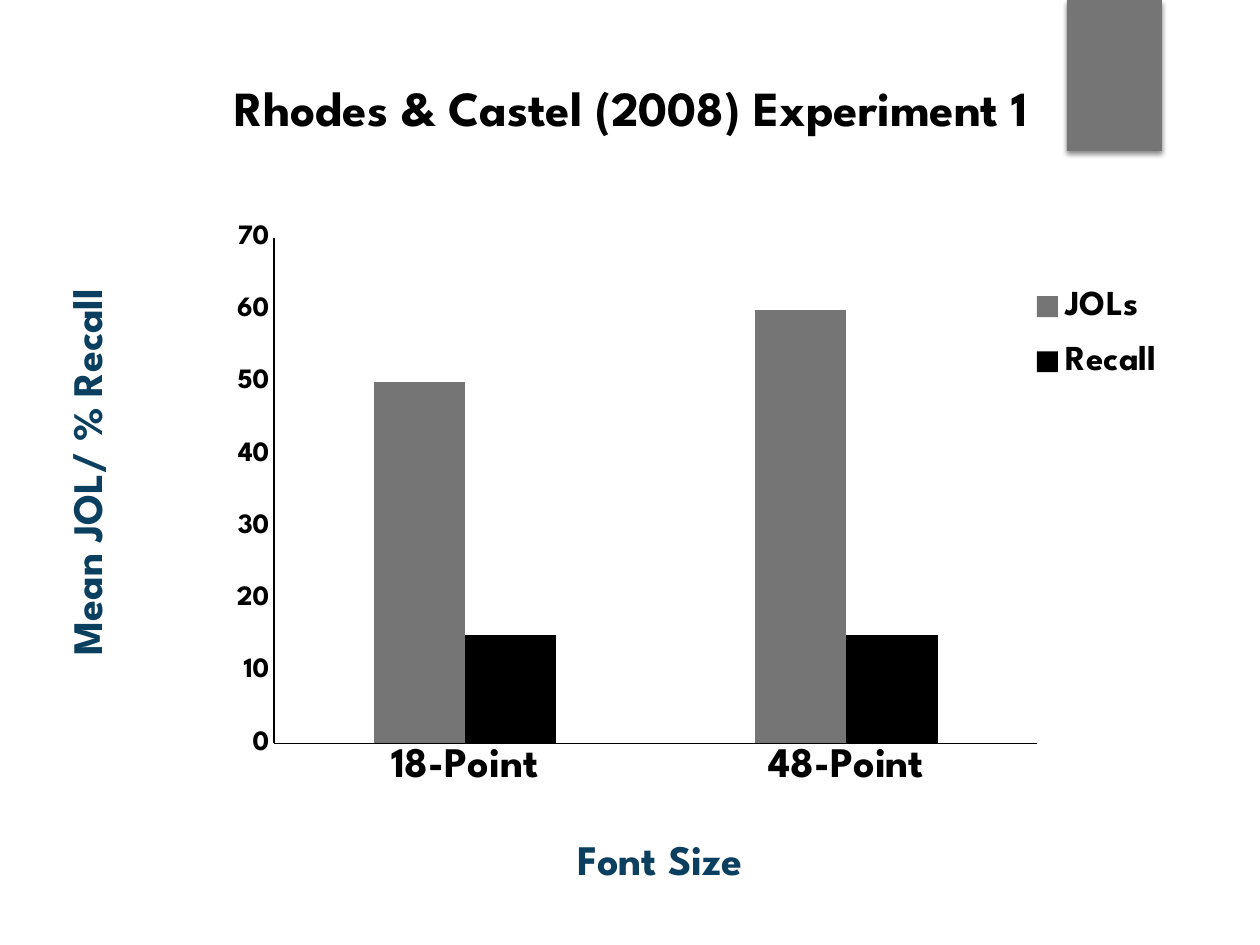
from lxml import etree
from pptx import Presentation, util as u
from pptx.chart.data import CategoryChartData
from pptx.dml.color import RGBColor
from pptx.enum import chart as ch, shapes, text
from pptx.oxml import parse_xml
from pptx.oxml.ns import nsdecls, qn

COLORS = {"black": "000000", "gray": "757575", "navy": "0A3F60"}
FONT = "League Spartan"
SCALE = 914400 / 126


def px(n):
    return u.Emu(round(n * SCALE))


def style(font, size, color="black", bold=True):
    font.name, font.size, font.bold = FONT, u.Pt(size), bold
    font.color.rgb = RGBColor.from_string(COLORS[color])


def add_text(tf, content, size, color="black", align=text.PP_ALIGN.CENTER):
    p = tf.paragraphs[0]
    p.alignment = align
    r = p.add_run()
    r.text = content
    style(r.font, size, color)


def place(parent, inner=False, **box):
    for old in parent.findall(qn("c:layout")):
        parent.remove(old)
    target = '<c:layoutTarget val="inner"/>' if inner else ""
    modes = "".join(f'<c:{k}Mode val="edge"/>' for k in "xy")
    sizes = "".join(f'<c:{k} val="{v}"/>' for k, v in box.items())
    layout = parse_xml(f'<c:layout {nsdecls("c")}><c:manualLayout>{target}{modes}{sizes}'
                       '</c:manualLayout></c:layout>')
    before = [e for e in parent if e.tag in (qn("c:tx"), qn("c:legendPos"))]
    parent.insert(parent.index(before[-1]) + 1 if before else 0, layout)


class Deck:
    """Style and current slide, with one method for each kind of element."""

    def __init__(self, width, height):
        self.prs = Presentation()
        self.prs.slide_width, self.prs.slide_height = px(width), px(height)
        self.s = self.prs.slides.add_slide(self.prs.slide_layouts[6])

    def tab(self, *box, color):
        sp = self.s.shapes.add_shape(shapes.MSO_SHAPE.RECTANGLE, *map(px, box))
        sp.fill.solid()
        sp.fill.fore_color.rgb = RGBColor.from_string(COLORS[color])
        sp.line.fill.background()
        sp.shadow.inherit = False
        effects = sp._element.spPr.find(qn("a:effectLst"))
        shadow = etree.SubElement(effects, qn("a:outerShdw"), blurRad=str(u.Pt(3)),
                                  dist=str(u.Pt(2)), dir="5400000", rotWithShape="0")
        shade = etree.SubElement(shadow, qn("a:srgbClr"), val=COLORS["black"])
        etree.SubElement(shade, qn("a:alpha"), val="45000")

    def title(self, *box, content, size):
        tf = self.s.shapes.add_textbox(*map(px, box)).text_frame
        tf.word_wrap = True
        add_text(tf, content, size)

    def axis(self, axis, title, size, x, y):
        axis.has_major_gridlines = False
        axis.major_tick_mark = axis.minor_tick_mark = ch.XL_TICK_MARK.NONE
        axis.format.line.color.rgb = RGBColor.from_string(COLORS["black"])
        axis.format.line.width = u.Pt(0.75)
        style(axis.tick_labels.font, size)
        add_text(axis.axis_title.text_frame, title, 24, "navy")
        place(axis.axis_title._element, x=x, y=y)

    def columns(self, *box, categories, series):
        data = CategoryChartData()
        data.categories = categories
        for name, values, _ in series:
            data.add_series(name, values)
        chart = self.s.shapes.add_chart(ch.XL_CHART_TYPE.COLUMN_CLUSTERED,
                                        *map(px, box), data).chart
        chart.has_title = False
        style(chart.font, 10, bold=False)
        plot = chart.plots[0]
        plot.gap_width, plot.overlap, plot.vary_by_categories = 219, 0, False
        for bar, (_, _, color) in zip(plot.series, series):
            bar.format.fill.solid()
            bar.format.fill.fore_color.rgb = RGBColor.from_string(COLORS[color])
        self.axis(chart.category_axis, "Font Size", 24, x=0.47, y=0.91)
        values = chart.value_axis
        self.axis(values, "Mean JOL/ % Recall", 16, x=0.05, y=0.12)
        values.minimum_scale, values.maximum_scale, values.major_unit = 0, 70, 10
        chart.has_legend = True
        chart.legend.position = ch.XL_LEGEND_POSITION.RIGHT
        chart.legend.include_in_layout = False
        style(chart.legend.font, 20)
        place(chart.legend._element, x=0.85, y=0.1, w=0.11, h=0.19)
        area = chart._chartSpace.chart.plotArea
        place(area, inner=True, x=0.226, y=0.057, w=0.63, h=0.724)


def main():
    deck = Deck(1260, 945)
    deck.tab(1067, 0, 95, 151, color="gray")
    deck.columns(0, 198, 1212, 699, categories=["18-Point", "48-Point"],
                 series=[("JOLs", (50, 60), "gray"), ("Recall", (15, 15), "black")])
    deck.title(212, 71, 838, 131, content="Rhodes & Castel (2008) Experiment 1", size=28)
    deck.prs.save("out.pptx")


if __name__ == "__main__":
    main()
